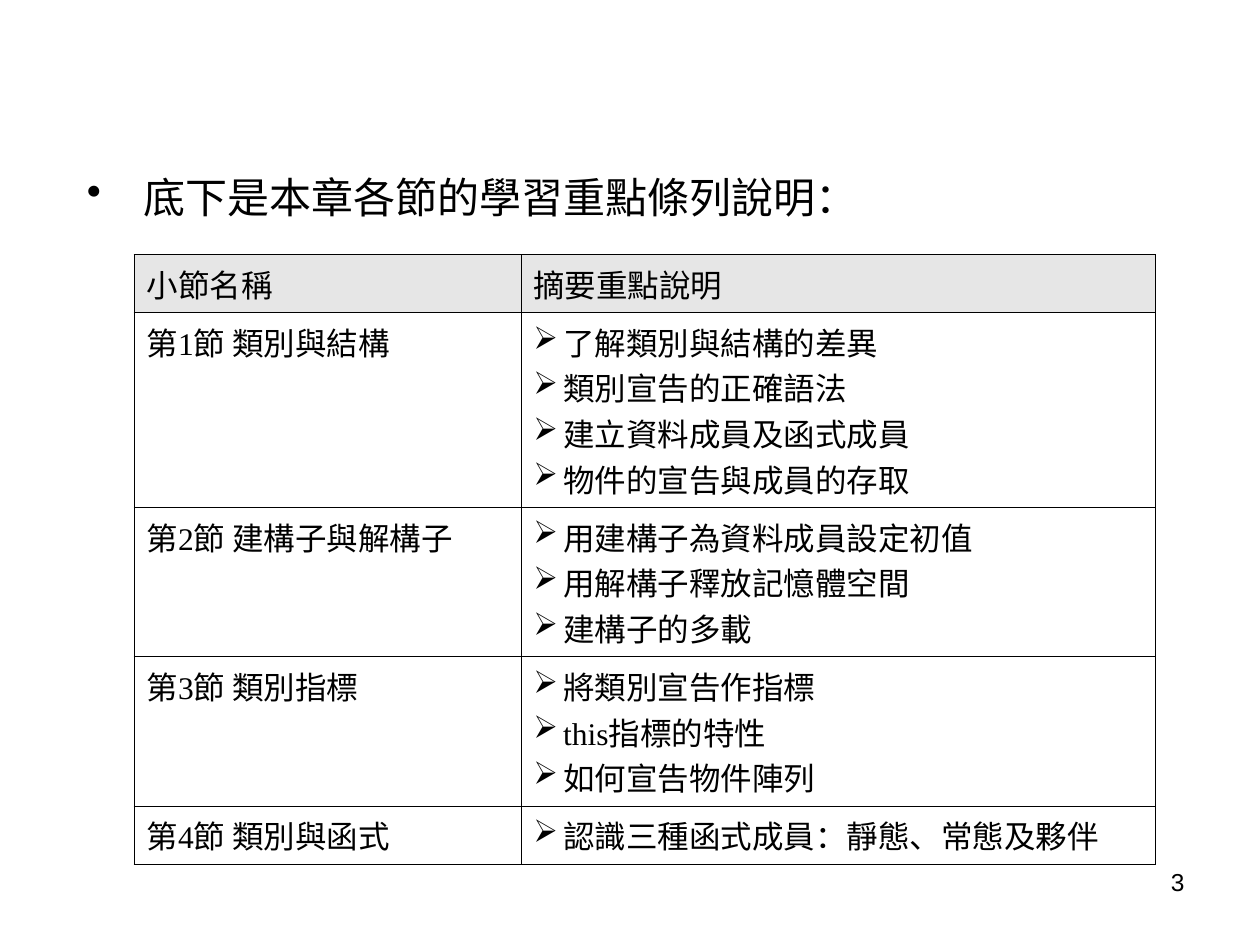
from dataclasses import dataclass

import pptx
import pptx.dml.color
import pptx.enum.text
import pptx.oxml
import pptx.oxml.ns
import pptx.util
from pptx.util import Cm, Pt

BLACK = pptx.dml.color.RGBColor(0x00, 0x00, 0x00)
HEADER_GRAY = pptx.dml.color.RGBColor(0xE6, 0xE6, 0xE6)
NSDECL = pptx.oxml.ns.nsdecls("a")

HEADINGS = ("小節名稱", "摘要重點說明")
COLUMN_WIDTHS = (Cm(7.8), Cm(12.8))
CELL_PADDING = 0.25  # centimetres above and below the lines together
LINE_HEIGHT = 0.92  # centimetres


@dataclass
class Section:
    title: str
    points: tuple[str, ...]


SECTIONS = (
    Section("第1節 類別與結構", (
        "了解類別與結構的差異",
        "類別宣告的正確語法",
        "建立資料成員及函式成員",
        "物件的宣告與成員的存取",
    )),
    Section("第2節 建構子與解構子", (
        "用建構子為資料成員設定初值",
        "用解構子釋放記憶體空間",
        "建構子的多載",
    )),
    Section("第3節 類別指標", (
        "將類別宣告作指標",
        "this指標的特性",
        "如何宣告物件陣列",
    )),
    Section("第4節 類別與函式", ("認識三種函式成員：靜態、常態及夥伴",)),
)


def add_bullet(paragraph, character: str, indent: pptx.util.Length) -> None:
    properties = paragraph._p.get_or_add_pPr()
    properties.set("marL", str(indent))
    properties.set("indent", str(-indent))
    properties.append(pptx.oxml.parse_xml(
        f'<a:buClr {NSDECL}><a:srgbClr val="{BLACK}"/></a:buClr>'))
    properties.append(pptx.oxml.parse_xml(
        f'<a:buChar {NSDECL} char="{character}"/>'))


def set_font(paragraph, name: str, size: int) -> None:
    paragraph.font.name = name
    paragraph.font.size = Pt(size)
    paragraph.font.color.rgb = BLACK


def add_text(slide, text: str, left: float, top: float, width: float, height: float):
    box = slide.shapes.add_textbox(Cm(left), Cm(top), Cm(width), Cm(height))
    box.text_frame.word_wrap = True
    paragraph = box.text_frame.paragraphs[0]
    paragraph.text = text
    return paragraph


def add_borders(cell) -> None:
    properties = cell._tc.get_or_add_tcPr()
    for position, side in enumerate(("lnL", "lnR", "lnT", "lnB")):
        properties.insert(position, pptx.oxml.parse_xml(
            f'<a:{side} {NSDECL} w="{Pt(0.45)}"><a:solidFill>'
            f'<a:srgbClr val="{BLACK}"/></a:solidFill></a:{side}>'))


def fill_cell(cell, lines: tuple[str, ...], bulleted: bool = False,
              header: bool = False) -> None:
    cell.text_frame.text = "\n".join(lines)
    for paragraph in cell.text_frame.paragraphs:
        if bulleted:
            add_bullet(paragraph, "➢", Cm(0.6))
        set_font(paragraph, "Times New Roman", 18)
    if header:
        cell.fill.solid()
        cell.fill.fore_color.rgb = HEADER_GRAY
    else:
        cell.fill.background()
    add_borders(cell)


def row_height(line_count: int) -> pptx.util.Length:
    return Cm(CELL_PADDING + LINE_HEIGHT * line_count)


def add_section_table(slide) -> None:
    heights = [row_height(1)]
    heights += [row_height(len(section.points)) for section in SECTIONS]
    table = slide.shapes.add_table(
        len(heights), len(COLUMN_WIDTHS), Cm(2.7), Cm(5.13),
        sum(COLUMN_WIDTHS), sum(heights)).table
    table.first_row = False
    table.horz_banding = False
    for column, width in zip(table.columns, COLUMN_WIDTHS):
        column.width = width
    for row, height in zip(table.rows, heights):
        row.height = height

    for column, heading in enumerate(HEADINGS):
        fill_cell(table.cell(0, column), (heading,), header=True)
    for row, section in enumerate(SECTIONS, start=1):
        fill_cell(table.cell(row, 0), (section.title,))
        fill_cell(table.cell(row, 1), section.points, bulleted=True)


def main() -> None:
    presentation = pptx.Presentation()
    presentation.slide_width = Cm(25.4)
    presentation.slide_height = Cm(19.05)
    slide = presentation.slides.add_slide(presentation.slide_layouts[6])

    # Introduction
    introduction = add_text(slide, "底下是本章各節的學習重點條列說明：",
                            1.5, 3.33, 22.23, 13.77)
    add_bullet(introduction, "•", Cm(1.14))
    set_font(introduction, "Arial", 24)

    # Sections and their key points
    add_section_table(slide)

    # Page number
    page_number = add_text(slide, "3", 18.2, 17.35, 5.93, 1.32)
    page_number.alignment = pptx.enum.text.PP_ALIGN.RIGHT
    set_font(page_number, "Arial", 14)

    presentation.save("out.pptx")


if __name__ == "__main__":
    main()
